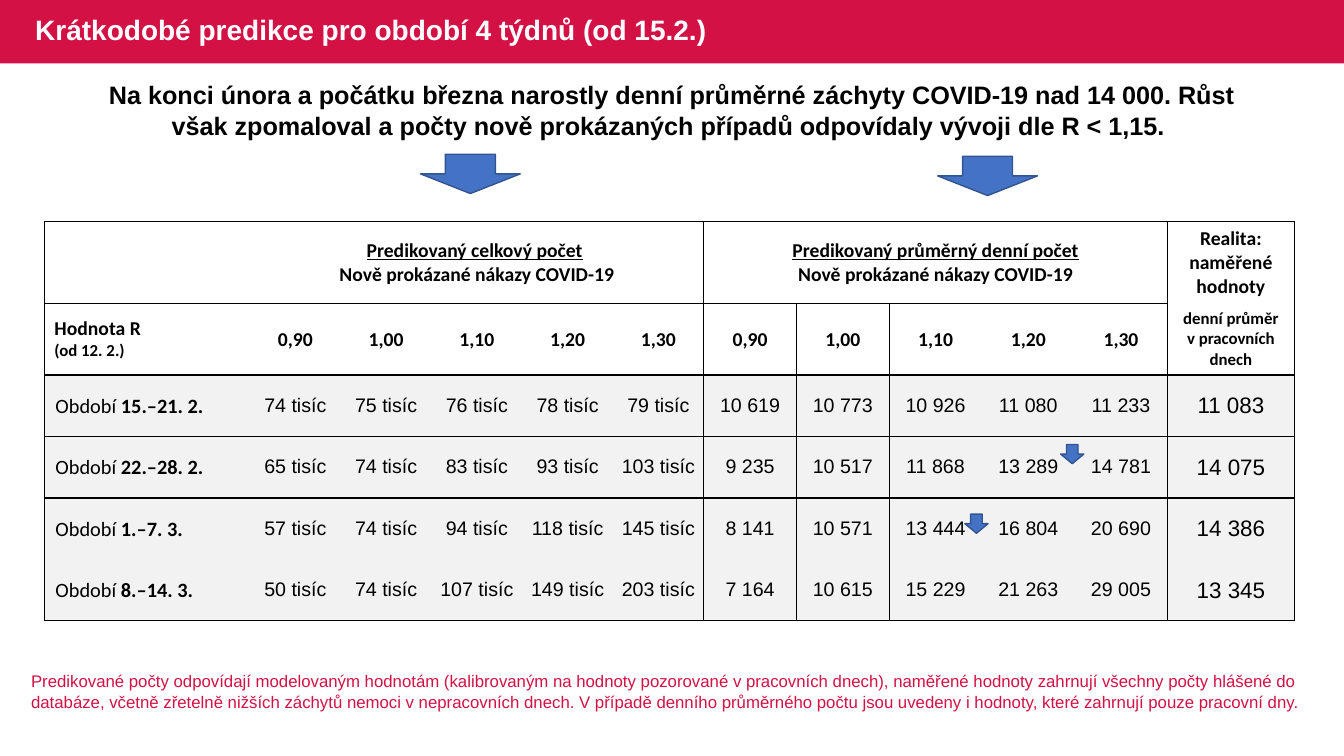
from copy import deepcopy
from dataclasses import dataclass

from lxml.etree import SubElement
from pptx import Presentation
from pptx.dml.color import RGBColor as Rgb
from pptx.enum.shapes import MSO_SHAPE as Shape
from pptx.enum.text import MSO_ANCHOR as Anchor, PP_ALIGN as Align
from pptx.oxml.ns import qn
from pptx.util import Emu, Pt

EMU_PER_PX = 9144  # 100 px to the inch


@dataclass(frozen=True)
class Theme:
    red: str = "D31145"
    white: str = "FFFFFF"
    black: str = "000000"
    gray: str = "F2F2F2"
    arrow: str = "4472C4"
    arrow_edge: str = "325491"
    body: str = "Arial"
    heading: str = "Calibri"
    title_size: float = 20
    lead_size: float = 18
    reality_size: float = 16
    period_size: float = 14.5
    table_size: float = 14
    small_size: float = 12


THEME = Theme()
HEADING = {"name": THEME.heading, "size": THEME.table_size, "bold": True}
UNDERLINED = HEADING | {"underline": True}
SMALL = HEADING | {"size": THEME.small_size}
PERIOD = HEADING | {"size": THEME.period_size}
VALUE = {"name": THEME.body, "size": THEME.table_size}
REALITY = VALUE | {"size": THEME.reality_size}

COLUMNS = [204] + [90] * 5 + [92] * 5 + [126]
ROWS = [79, 71] + [61] * 4
R_VALUES = ["0,90", "1,00", "1,10", "1,20", "1,30"]
PERIODS = [
    ("15.–21. 2.", [74, 75, 76, 78, 79],
     ["10 619", "10 773", "10 926", "11 080", "11 233"], "11 083"),
    ("22.–28. 2.", [65, 74, 83, 93, 103],
     ["9 235", "10 517", "11 868", "13 289", "14 781"], "14 075"),
    ("1.–7. 3.", [57, 74, 94, 118, 145],
     ["8 141", "10 571", "13 444", "16 804", "20 690"], "14 386"),
    ("8.–14. 3.", [50, 74, 107, 149, 203],
     ["7 164", "10 615", "15 229", "21 263", "29 005"], "13 345"),
]
ARROWS = [(417, 153, 99, 39), (930, 155, 99, 39),
          (1052, 441, 23, 19), (957, 510, 23, 19)]
LEAD = ("Na konci února a počátku března narostly denní průměrné záchyty COVID-19 "
        "nad 14 000. Růst však zpomaloval a počty nově prokázaných případů "
        "odpovídaly vývoji dle R < 1,15. ")
NOTE = ("Predikované počty odpovídají modelovaným hodnotám (kalibrovaným na hodnoty "
        "pozorované v pracovních dnech), naměřené hodnoty zahrnují všechny počty "
        "hlášené do databáze, včetně zřetelně nižších záchytů nemoci v nepracovních "
        "dnech. V případě denního průměrného počtu jsou uvedeny i hodnoty, které "
        "zahrnují pouze pracovní dny.")


def px(*lengths):
    return [Emu(length * EMU_PER_PX) for length in lengths]


def add_span(para, text, form):
    span = para.add_run()
    span.text = text
    span.font.color.rgb = Rgb.from_string(form.get("color", THEME.black))
    for name, value in form.items():
        if name != "color":
            setattr(span.font, name, Pt(value) if name == "size" else value)
    return span


def write(frame, paras, align=Align.LEFT):
    """Fill a text frame; each paragraph is a list of (text, format) spans."""
    for index, spans in enumerate(paras):
        para = frame.add_paragraph() if index else frame.paragraphs[0]
        para.alignment = align
        for text, form in spans:
            for number, line in enumerate(text.split("\n")):
                if number:
                    para.add_line_break()
                    line_break = para._p[-1]
                if line:
                    span = add_span(para, line, form)
                    if number:
                        line_break.append(deepcopy(span._r.rPr))


def add_text(page, area, text, align=Align.LEFT, anchor=Anchor.TOP, **form):
    frame = page.shapes.add_textbox(*px(*area)).text_frame
    frame.word_wrap = True
    frame.vertical_anchor = anchor
    write(frame, [[(text, form)]], align)
    return frame


def add_shape(page, kind, area, fill, edge=None):
    shape = page.shapes.add_shape(kind, *px(*area))
    shape.shadow.inherit = False
    shape.fill.solid()
    shape.fill.fore_color.rgb = Rgb.from_string(fill)
    if edge:
        shape.line.color.rgb = Rgb.from_string(edge)
        shape.line.width = Pt(1)
    else:
        shape.line.fill.background()


def fill_cell(cell, paras, margins=None, align=Align.CENTER):
    cell.vertical_anchor = Anchor.MIDDLE
    if margins:
        for side, length in zip(("left", "top", "right", "bottom"), px(*margins)):
            setattr(cell, f"margin_{side}", length)
    write(cell.text_frame, paras, align)


def draw_borders(cell, row, column):
    def vertical(edge):
        return edge in (0, 6, 11, 12) or (edge == 7 and row > 0)

    def horizontal(edge):
        return edge in (0, 2, 3, 6) or (edge == 1 and column < 11)

    right = column + (cell.span_width if cell.is_merge_origin else 1)
    sides = {"lnL": vertical(column), "lnR": vertical(right),
             "lnT": horizontal(row), "lnB": horizontal(row + 1)}
    props = cell._tc.get_or_add_tcPr()
    for tag, visible in sides.items():
        if visible:
            line = SubElement(props, qn(f"a:{tag}"), w=str(Pt(1)))
            paint = SubElement(line, qn("a:solidFill"))
            SubElement(paint, qn("a:srgbClr"), val=THEME.black)


def fill_headings(table):
    subject = "\nNově prokázané nákazy COVID-19"
    for first, spans in (
        (1, [("Predikovaný celkový počet", UNDERLINED), (" " + subject, HEADING)]),
        (6, [("Predikovaný průměrný denní počet", UNDERLINED), (subject, HEADING)]),
    ):
        table.cell(0, first).merge(table.cell(0, first + 4))
        fill_cell(table.cell(0, first), [spans])
    fill_cell(table.cell(0, 11),
              [[("Realita: naměřené", HEADING)], [("hodnoty", HEADING)]])
    fill_cell(table.cell(1, 0), [[("Hodnota R", HEADING), ("\n(od 12. 2.)", SMALL)]],
              align=Align.LEFT)
    for column, value in enumerate(R_VALUES * 2, 1):
        fill_cell(table.cell(1, column), [[(value, HEADING)]], (1, 1, 1, 0))
    fill_cell(table.cell(1, 11), [[("denní průměr v pracovních dnech", SMALL)]])


def fill_periods(table):
    for row, (period, totals, daily, reality) in enumerate(PERIODS, 2):
        label = [("Období ", PERIOD | {"bold": False}), (period, PERIOD)]
        fill_cell(table.cell(row, 0), [label], (11, 1, 1, 0), Align.LEFT)
        values = [f"{total} tisíc" for total in totals] + daily
        for column, value in enumerate(values, 1):
            fill_cell(table.cell(row, column), [[(value, VALUE)]], (0, 0, 0, 0))
        fill_cell(table.cell(row, 11), [[(reality, REALITY)]], (1, 1, 1, 0))


def add_prediction_table(page):
    area = px(44, 220, sum(COLUMNS), sum(ROWS))
    table = page.shapes.add_table(len(ROWS), len(COLUMNS), *area).table
    table.first_row = table.horz_banding = False
    style = table._tbl.tblPr.find(qn("a:tableStyleId"))
    style.text = "{2D5ABB26-0587-4C30-8999-92F81FD0307C}"
    for column, width in zip(table.columns, px(*COLUMNS)):
        column.width = width
    for row, height in zip(table.rows, px(*ROWS)):
        row.height = height
    fill_headings(table)
    fill_periods(table)
    for row in range(len(ROWS)):
        for column in range(len(COLUMNS)):
            cell = table.cell(row, column)
            draw_borders(cell, row, column)
            if row < 2:
                cell.fill.background()
            else:
                cell.fill.solid()
                cell.fill.fore_color.rgb = Rgb.from_string(THEME.gray)


def main():
    deck = Presentation()
    deck.slide_width, deck.slide_height = px(1333, 750)
    page = deck.slides.add_slide(deck.slide_layouts[6])
    add_shape(page, Shape.RECTANGLE, (0, 0, 1333, 63), THEME.red)
    add_prediction_table(page)
    add_text(page, (78, 74, 1177, 71), LEAD, Align.CENTER,
             name=THEME.body, size=THEME.lead_size, bold=True)
    title = add_text(page, (25, 0, 741, 63),
                     "Krátkodobé predikce pro období 4 týdnů (od 15.2.)",
                     anchor=Anchor.MIDDLE, name=THEME.body, size=THEME.title_size,
                     bold=True, color=THEME.white)
    title.paragraphs[0].line_spacing = 0.9
    add_text(page, (21, 661, 1283, 50), NOTE,
             name=THEME.body, size=THEME.small_size, color=THEME.red)
    for area in ARROWS:
        add_shape(page, Shape.DOWN_ARROW, area, THEME.arrow, THEME.arrow_edge)
    deck.save("out.pptx")


if __name__ == "__main__":
    main()
